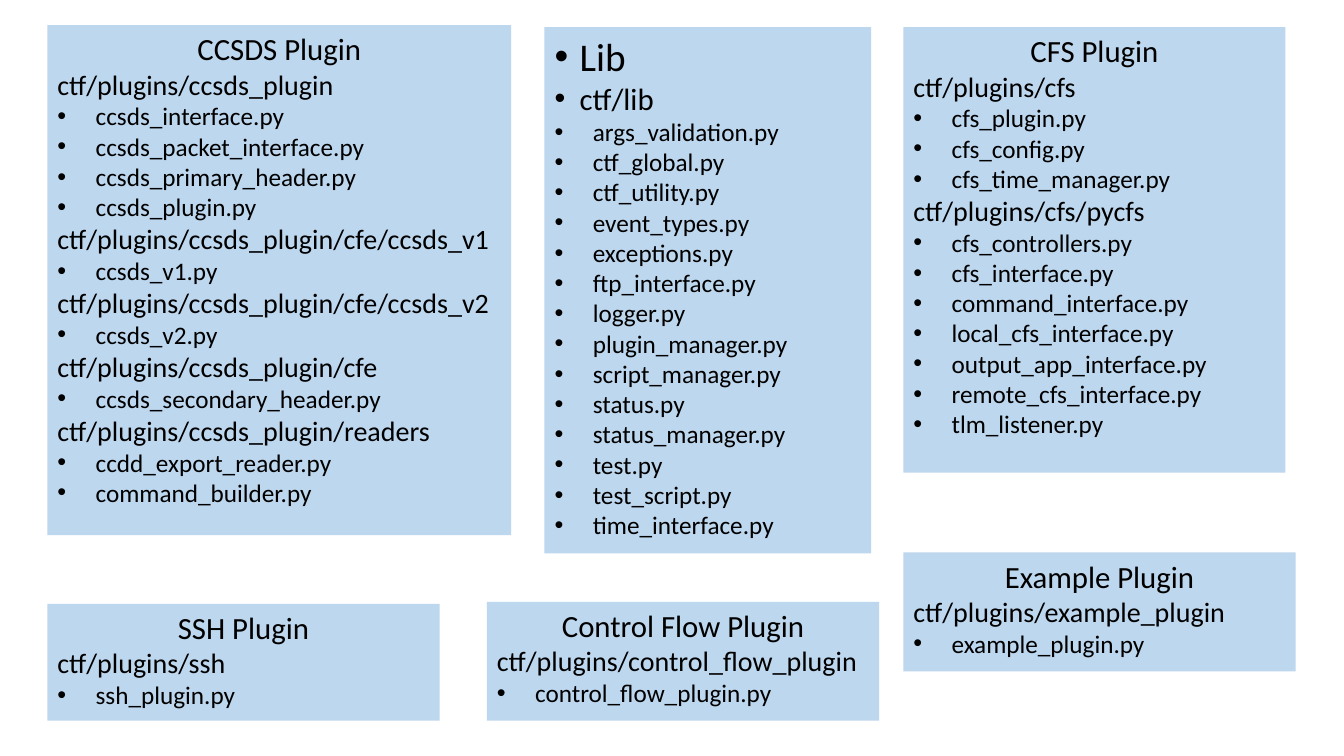
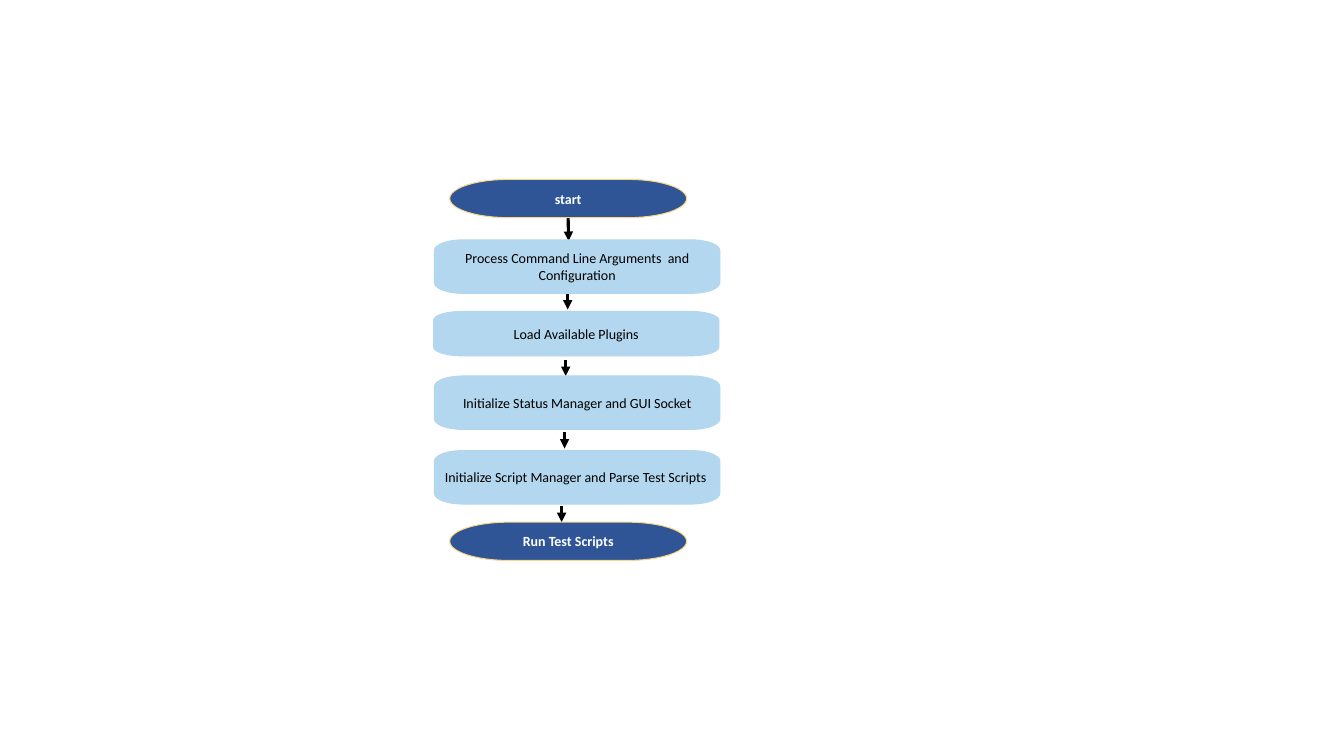
import math
import pptx
import pptx.util
import pptx.dml.color
import pptx.enum.shapes
import pptx.enum.text
import pptx.oxml
import pptx.oxml.ns
import lxml.etree

WIDE, HIGH = pptx.util.Inches(13.33), pptx.util.Inches(7.5)
FONT = "Calibri"
HUES = {
    "panel": "BDD7EE",
    "step": "B3D7EE",
    "end": "2F5597",
    "rim": "FBD585",
    "ink": "000000",
    "pale": "FFFFFF",
}
ALIGN = pptx.enum.text.PP_ALIGN
ANCHOR = pptx.enum.text.MSO_ANCHOR

LIB = [("ctf/lib", [
    "args_validation.py", "ctf_global.py", "ctf_utility.py", "event_types.py",
    "exceptions.py", "ftp_interface.py", "logger.py", "plugin_manager.py",
    "script_manager.py", "status.py", "status_manager.py", "test.py",
    "test_script.py", "time_interface.py"])]

CCSDS = "ctf/plugins/ccsds_plugin"
PANELS = [
    ("CCSDS Plugin", (3.53, 3.33, 34.5, 67.47), [
        (CCSDS, ["ccsds_interface.py", "ccsds_packet_interface.py",
                 "ccsds_primary_header.py", "ccsds_plugin.py"]),
        (CCSDS + "/cfe/ccsds_v1", ["ccsds_v1.py"]),
        (CCSDS + "/cfe/ccsds_v2", ["ccsds_v2.py"]),
        (CCSDS + "/cfe", ["ccsds_secondary_header.py"]),
        (CCSDS + "/readers", ["ccdd_export_reader.py", "command_builder.py"])]),
    ("CFS Plugin", (67.22, 3.6, 28.43, 58.93), [
        ("ctf/plugins/cfs", ["cfs_plugin.py", "cfs_config.py",
                             "cfs_time_manager.py"]),
        ("ctf/plugins/cfs/pycfs", [
            "cfs_controllers.py", "cfs_interface.py", "command_interface.py",
            "local_cfs_interface.py", "output_app_interface.py",
            "remote_cfs_interface.py", "tlm_listener.py"])]),
    ("Control Flow Plugin", (36.23, 79.6, 29.18, 15.73), [
        ("ctf/plugins/control_flow_plugin", ["control_flow_plugin.py"])]),
    ("Example Plugin", (67.22, 73.07, 29.18, 15.73), [
        ("ctf/plugins/example_plugin", ["example_plugin.py"])]),
    ("SSH Plugin", (3.53, 79.87, 29.18, 15.47), [
        ("ctf/plugins/ssh", ["ssh_plugin.py"])]),
]

ENDS = [("start", 23.73), ("Run Test Scripts", 69.07)]
STEPS = [
    ("Process Command Line Arguments  and Configuration", 32.33, 31.73, 7.07),
    ("Load Available Plugins", 32.26, 41.2, 5.87),
    ("Initialize Status Manager and GUI Socket", 32.33, 49.73, 7.07),
    ("Initialize Script Manager and Parse Test Scripts ", 32.33, 59.6, 7.07),
]
ARROWS = [
    (42.24, 26.13, 42.31, 31.87),
    (42.24, 38.93, 42.24, 40.93),
    (42.09, 47.6, 42.09, 49.73),
    (42.01, 57.2, 42.01, 59.33),
    (41.79, 66.93, 41.79, 69.07),
]


def share(*parts):
    return [round(part / 100 * (HIGH if i % 2 else WIDE))
            for i, part in enumerate(parts)]


def hue(name):
    return pptx.dml.color.RGBColor.from_string(HUES[name])


def paint(shape, fill, line=None):
    shape.shadow.inherit = False
    shape.fill.solid()
    shape.fill.fore_color.rgb = hue(fill)
    if line:
        shape.line.color.rgb = hue(line)
        shape.line.width = pptx.util.Pt(0.75)
    else:
        shape.line.fill.background()


def style(para, size, color="ink", bold=False, align=ALIGN.LEFT):
    para.alignment = align
    para.space_before = pptx.util.Pt(0)
    para.font.name = FONT
    para.font.size = pptx.util.Pt(size)
    para.font.bold = bold
    para.font.color.rgb = hue(color)


def bullet(para, indent):
    props = para._p.get_or_add_pPr()
    props.set("marL", str(pptx.util.Inches(indent)))
    props.set("indent", str(-pptx.util.Inches(indent)))
    face = lxml.etree.SubElement(props, pptx.oxml.ns.qn("a:buFont"))
    face.set("typeface", "Arial")
    mark = lxml.etree.SubElement(props, pptx.oxml.ns.qn("a:buChar"))
    mark.set("char", "\u2022")


def listing(shape, title, groups, sizes, indent=0):
    paint(shape, "panel")
    frame = shape.text_frame
    frame.word_wrap = True
    frame.auto_size = pptx.enum.text.MSO_AUTO_SIZE.NONE
    frame.vertical_anchor = ANCHOR.TOP
    big, mid, small = sizes
    rows = [(title, big, indent, ALIGN.LEFT if indent else ALIGN.CENTER)]
    for folder, files in groups:
        rows.append((folder, mid, indent, ALIGN.LEFT))
        rows += [(name, small, 0.38, ALIGN.LEFT) for name in files]
    for i, (text, size, inset, align) in enumerate(rows):
        para = frame.add_paragraph() if i else frame.paragraphs[0]
        para.text = text
        if inset:
            bullet(para, inset)
        style(para, size, align=align)


def panel(slide, title, area, groups):
    shape = slide.shapes.add_shape(
        pptx.enum.shapes.MSO_SHAPE.RECTANGLE, *share(*area))
    listing(shape, title, groups, (22, 20, 18))


def oval(slide, area, curve):
    left, top, width, height = share(*area)
    rx, ry = curve[0] * width, curve[1] * height
    points = []
    for turn in range(4):
        cx = left + (rx if turn in (0, 3) else width - rx)
        cy = top + (ry if turn < 2 else height - ry)
        for step in range(13):
            angle = math.pi * (1 + turn / 2 + step / 24)
            points.append((round(cx + rx * math.cos(angle)),
                           round(cy + ry * math.sin(angle))))
    path = slide.shapes.build_freeform(*points[0])
    path.add_line_segments(points[1:], close=True)
    return path.convert_to_shape()


def node(slide, text, area, curve, fill, line, color, bold):
    shape = oval(slide, area, curve)
    paint(shape, fill, line)
    frame = shape.text_frame
    frame.word_wrap = True
    frame.vertical_anchor = ANCHOR.MIDDLE
    frame.text = text
    style(frame.paragraphs[0], 10, color, bold, ALIGN.CENTER)


def arrow(slide, ends):
    link = slide.shapes.add_connector(
        pptx.enum.shapes.MSO_CONNECTOR.STRAIGHT, *share(*ends))
    link.line.color.rgb = hue("ink")
    link.line.width = pptx.util.Pt(2.25)
    tail = lxml.etree.SubElement(
        link.line._get_or_add_ln(), pptx.oxml.ns.qn("a:tailEnd"))
    tail.set("type", "triangle")
    lxml.etree.SubElement(
        link._element.spPr, pptx.oxml.ns.qn("a:effectLst"))


def files(deck):
    slide = deck.slides.add_slide(deck.slide_layouts[1])
    title = slide.shapes.title._element
    title.getparent().remove(title)
    body = slide.placeholders[1]
    body.left, body.top, body.width, body.height = share(
        40.51, 3.6, 24.31, 69.6)
    listing(body, "Lib", LIB, (28, 22, 18), 0.25)
    for name, area, groups in PANELS:
        panel(slide, name, area, groups)


def flow(deck):
    slide = deck.slides.add_slide(deck.slide_layouts[6])
    for ends in ARROWS:
        arrow(slide, ends)
    for text, top in ENDS:
        node(slide, text, (33.46, top, 17.63, 5.07), (0.25, 0.5),
             "end", "rim", "pale", True)
    for text, left, top, height in STEPS:
        node(slide, text, (left, top, 21.23, height), (0.1, 0.2),
             "step", "step", "ink", False)


def main():
    deck = pptx.Presentation()
    deck.slide_width, deck.slide_height = WIDE, HIGH
    files(deck)
    flow(deck)
    deck.save("out.pptx")


main()
